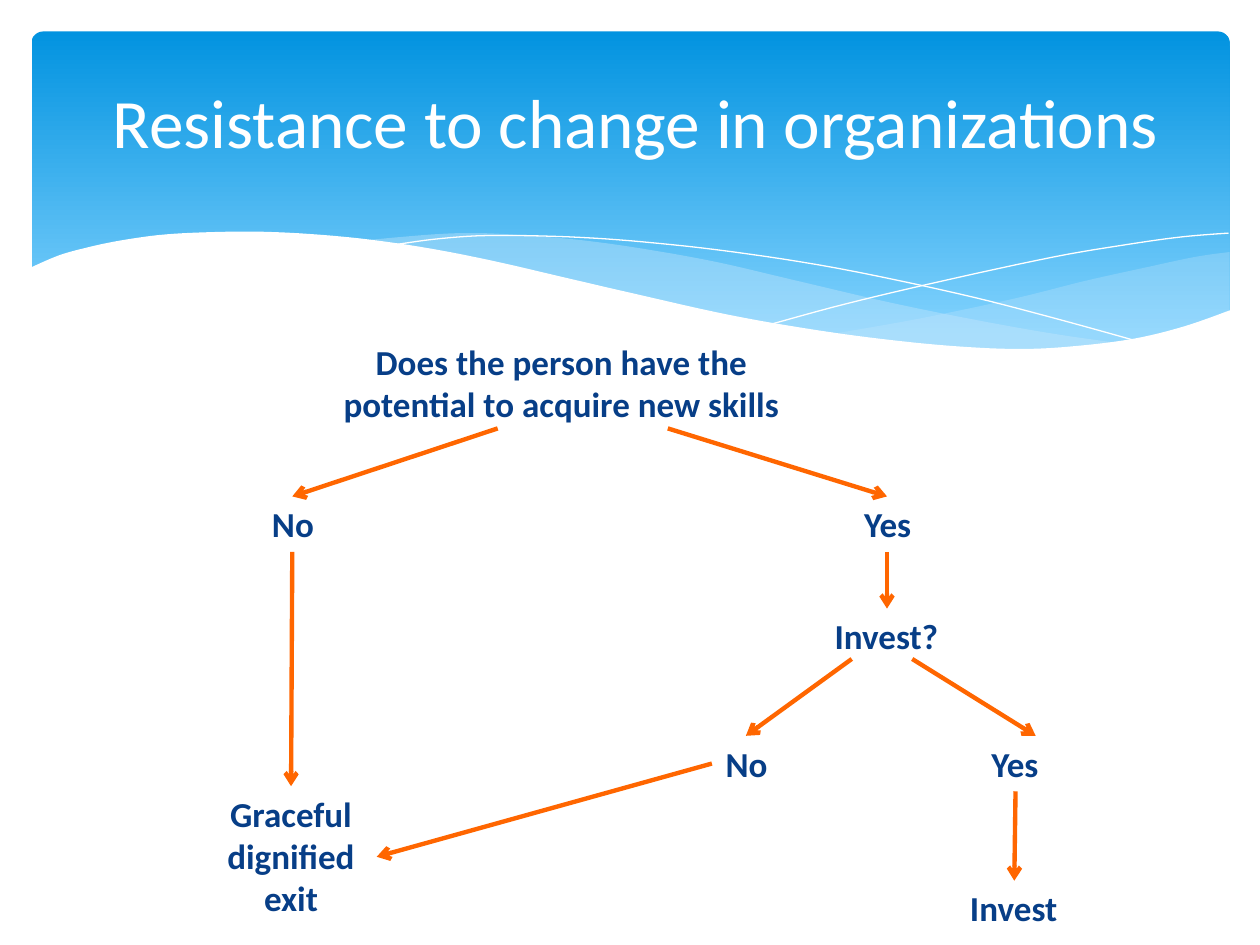
from lxml import etree
from pptx import Presentation
from pptx.dml.color import RGBColor
from pptx.enum.shapes import MSO_CONNECTOR, MSO_SHAPE
from pptx.enum.text import MSO_ANCHOR, MSO_AUTO_SIZE, PP_ALIGN
from pptx.oxml.ns import qn
from pptx.util import Inches, Pt

CENTER = PP_ALIGN.CENTER
MIDDLE = MSO_ANCHOR.MIDDLE
NO_FIT = MSO_AUTO_SIZE.NONE
GROW = MSO_AUTO_SIZE.SHAPE_TO_FIT_TEXT
ROUNDED = MSO_SHAPE.ROUNDED_RECTANGLE
STRAIGHT = MSO_CONNECTOR.STRAIGHT

WHITE = RGBColor(0xFF, 0xFF, 0xFF)
NAVY = RGBColor(0x07, 0x3E, 0x87)
ORANGE = RGBColor(0xFF, 0x66, 0x00)
SKY = RGBColor(0x02, 0x93, 0xE0)
PALE_SKY = RGBColor(0x83, 0xD3, 0xFE)
MIST = RGBColor(0xC6, 0xE7, 0xFC)

TITLE_FONT = {"name": "Calibri", "size": Pt(39.6), "bold": False}
NODE_FONT = {"name": "Calibri", "size": Pt(20), "bold": True}
CURVE_STEPS = 6

RIGHT_SWELL = [
    [(9.76, 2), (9.48, 2.04), (9.06, 2.13), (8.61, 2.23), (8.05, 2.37),
     (7.29, 2.53), (6.61, 2.65)],
    [(6.61, 2.65), (7.05, 2.71), (7.57, 2.76), (8.03, 2.78), (8.54, 2.76),
     (8.97, 2.7), (9.35, 2.62), (9.76, 2.47)],
]
MIDDLE_SWELL = [
    [(8.93, 2.73), (8.37, 2.65), (7.75, 2.54), (7.06, 2.4), (6.29, 2.22),
     (5.69, 2.08), (5.14, 1.98), (4.65, 1.91), (4.2, 1.87), (3.8, 1.85),
     (3.44, 1.86), (2.86, 1.91)],
    [(2.86, 1.91), (3.42, 1.99), (4.04, 2.11), (4.91, 2.32), (5.66, 2.48),
     (6.34, 2.61), (6.95, 2.7), (7.48, 2.76), (7.96, 2.78), (8.48, 2.77),
     (8.93, 2.73)],
]
FALLING_LINE = [
    [(3.09, 1.95), (3.44, 1.9), (3.87, 1.87), (4.5, 1.88), (5.1, 1.92),
     (5.82, 2), (6.65, 2.13), (7.6, 2.33), (8.31, 2.51), (9.07, 2.72)],
]
RISING_LINE = [
    [(6.13, 2.57), (6.72, 2.41), (7.48, 2.23), (8.36, 2.04), (8.95, 1.94),
     (9.38, 1.88), (9.75, 1.85)],
]
WHITE_WAVE = [
    [(9.77, 2.46), (9.4, 2.59), (8.99, 2.69), (8.5, 2.75), (8.09, 2.77),
     (7.61, 2.75), (7.08, 2.7), (6.48, 2.62), (5.79, 2.5), (5.03, 2.33),
     (4.47, 2.2), (3.91, 2.07), (3.4, 1.97), (2.92, 1.9), (2.5, 1.86),
     (2.11, 1.84), (1.77, 1.84), (1.32, 1.86), (0.95, 1.91), (0.67, 1.97),
     (0.46, 2.03), (0.23, 2.13)],
    [(0.23, 3.29), (9.77, 3.29)],
]

NODES = [
    ("Does the person have the potential to acquire new skills",
     2.46, 2.65, 3.99, 0.77, True),
    ("No", 2.05, 3.94, 0.55, 0.44, False),
    ("Yes", 6.74, 3.94, 0.61, 0.44, False),
    ("Graceful dignified exit", 1.63, 6.24, 1.36, 1.11, True),
    ("Invest?", 6.52, 4.83, 1.03, 0.44, False),
    ("No", 5.65, 5.84, 0.55, 0.44, False),
    ("Yes", 7.75, 5.84, 0.61, 0.44, False),
    ("Invest", 7.58, 6.99, 0.93, 0.44, False),
]
ARROWS = [
    (3.95, 3.4, 2.32, 3.94),
    (5.3, 3.4, 7.04, 3.94),
    (2.32, 4.38, 2.31, 6.24),
    (7.24, 5.23, 8.22, 5.84),
    (7.04, 4.38, 7.04, 4.83),
    (6.76, 5.23, 5.92, 5.84),
    (5.65, 6.06, 2.99, 6.8),
    (8.06, 6.28, 8.05, 6.99),
]


def spline(start, before, after, end, t):
    return 0.5 * (2 * before + (after - start) * t
                  + (2 * start - 5 * before + 4 * after - end) * t ** 2
                  + (3 * before - start - 3 * after + end) * t ** 3)


def smooth(knots):
    padded = [knots[0], *knots, knots[-1]]
    points = [knots[0]]
    for group in zip(padded, padded[1:], padded[2:], padded[3:]):
        for step in range(1, CURVE_STEPS + 1):
            points.append(tuple(spline(*axis, step / CURVE_STEPS) for axis in zip(*group)))
    return points


class SlideBuilder:
    def __init__(self, page):
        self.page = page
        self.shapes = page.shapes

    def set_text(self, box, text, font, color):
        frame = box.text_frame
        frame.text = text
        para = frame.paragraphs[0]
        para.alignment = CENTER
        span = para.runs[0]
        for name, value in font.items():
            setattr(span.font, name, value)
        span.font.color.rgb = color

    def banner(self, left, top, width, height):
        box = self.shapes.add_shape(ROUNDED, *map(Inches, (left, top, width, height)))
        box.adjustments[0] = 0.034
        box.shadow.inherit = False
        box.line.fill.background()
        box.fill.gradient()
        box.fill.gradient_angle = 270
        for stop, position, color in zip(box.fill.gradient_stops, (0, 0.9), (SKY, PALE_SKY)):
            stop.position = position
            stop.color.rgb = color

    def wave(self, curves, fill=None, opacity=100):
        points = [(Inches(x), Inches(y)) for curve in curves for x, y in smooth(curve)]
        builder = self.shapes.build_freeform(*points[0])
        builder.add_line_segments(points[1:], close=fill is not None)
        shape = builder.convert_to_shape()
        shape.shadow.inherit = False
        if fill is None:
            shape.fill.background()
            shape.line.color.rgb = WHITE
            shape.line.width = Pt(0)
            return
        shape.line.fill.background()
        shape.fill.solid()
        shape.fill.fore_color.rgb = fill
        if opacity < 100:
            color = shape.element.spPr.find(qn("a:solidFill"))[0]
            etree.SubElement(color, qn("a:alpha"), val=str(opacity * 1000))

    def title(self, text, left, top, width, height):
        box = self.shapes.title
        place = {"left": left, "top": top, "width": width, "height": height}
        for name, value in place.items():
            setattr(box, name, Inches(value))
        self.set_text(box, text, TITLE_FONT, WHITE)
        box.text_frame.vertical_anchor = MIDDLE
        box.text_frame.auto_size = NO_FIT
        box.element.getparent().append(box.element)

    def node(self, text, left, top, width, height, wrap):
        box = self.shapes.add_textbox(*map(Inches, (left, top, width, height)))
        self.set_text(box, text, NODE_FONT, NAVY)
        box.text_frame.word_wrap = wrap
        box.text_frame.auto_size = GROW

    def arrow(self, *ends):
        connector = self.shapes.add_connector(STRAIGHT, *map(Inches, ends))
        connector.line.color.rgb = ORANGE
        connector.line.width = Pt(2.5)
        properties = connector.element.spPr
        etree.SubElement(properties.find(qn("a:ln")), qn("a:tailEnd"), type="arrow")
        etree.SubElement(properties, qn("a:effectLst"))


def main():
    deck = Presentation()
    deck.slide_width = Inches(10)
    deck.slide_height = Inches(7.5)
    builder = SlideBuilder(deck.slides.add_slide(deck.slide_layouts[5]))
    builder.banner(0.25, 0.25, 9.51, 2.7)
    builder.wave(RIGHT_SWELL, MIST, 29)
    builder.wave(MIDDLE_SWELL, MIST, 40)
    builder.wave(FALLING_LINE)
    builder.wave(RISING_LINE)
    builder.wave(WHITE_WAVE, WHITE)
    builder.title("Resistance to change in organizations", 0.59, 0.5, 8.91, 0.92)
    for node in NODES:
        builder.node(*node)
    for arrow in ARROWS:
        builder.arrow(*arrow)
    deck.save("out.pptx")


if __name__ == "__main__":
    main()
